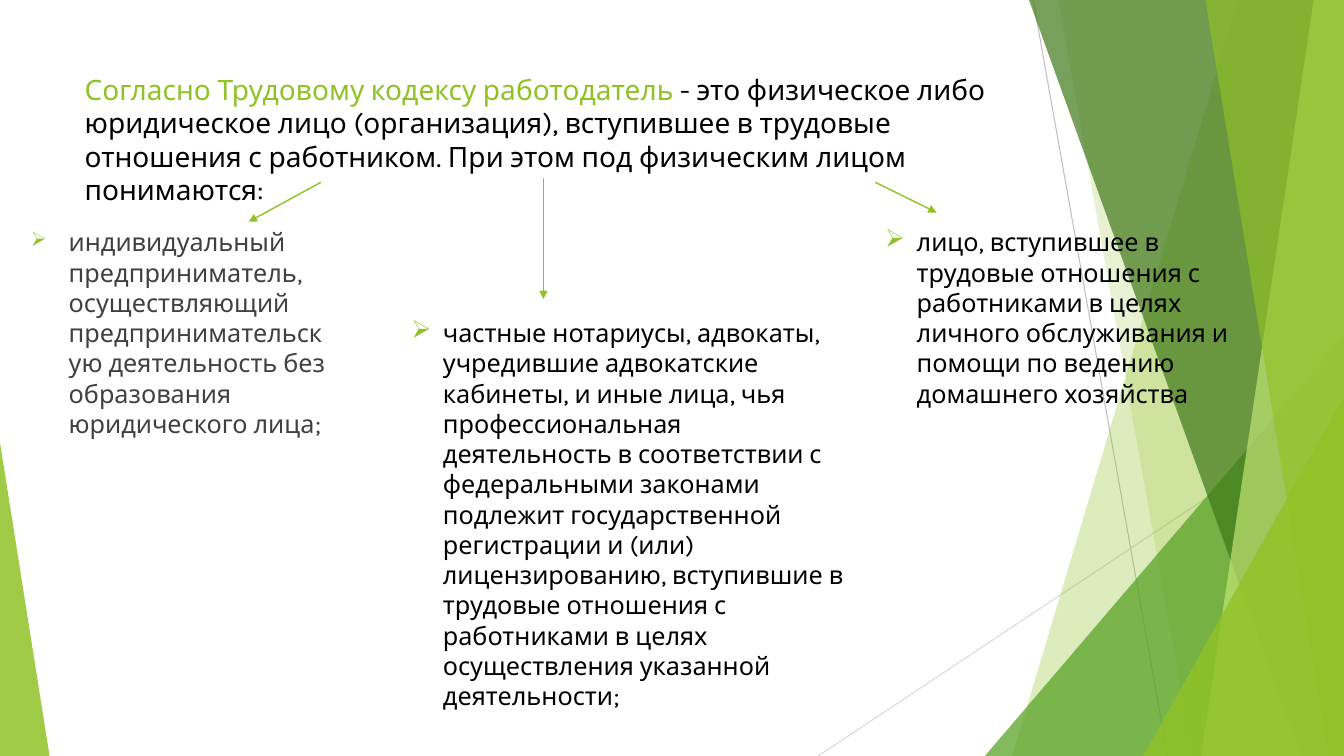
from dataclasses import dataclass

from lxml import etree
from pptx import Presentation
from pptx.dml.color import RGBColor
from pptx.enum.shapes import MSO_CONNECTOR, MSO_SHAPE
from pptx.enum.text import MSO_ANCHOR, MSO_AUTO_SIZE, PP_ALIGN
from pptx.oxml.ns import qn
from pptx.util import Inches, Pt

STRAIGHT = MSO_CONNECTOR.STRAIGHT
TRIANGLE = MSO_SHAPE.ISOSCELES_TRIANGLE
TOP = MSO_ANCHOR.TOP
LEFT = PP_ALIGN.LEFT
NO_FIT = MSO_AUTO_SIZE.NONE

COLUMNS, ROWS = 160, 90
WIDTH, HEIGHT = Inches(13.333), Inches(7.5)
GREEN, BLACK, GREY = "90C226", "000000", "404040"
FONT = "Karla"
FRAME_FORMAT = {"word_wrap": True, "auto_size": NO_FIT, "vertical_anchor": TOP}


@dataclass
class Band:
    top_col: float
    bottom_col: float
    color: str
    opacity: int


@dataclass
class Wedge:
    col: float
    row: float
    cols: float
    apex: float
    color: str
    opacity: int


@dataclass
class Stroke:
    start: tuple[float, float]
    end: tuple[float, float]
    color: str
    weight: float
    arrow: bool = False


@dataclass
class Passage:
    col: float
    row: float
    cols: float
    rows: float
    runs: list[tuple[str, str]]
    size: int = 18
    indent: float = 0
    bullet_percent: int = 100


BACKDROP_LINES = [
    Stroke((123, 0), (139, 90), "BFBFBF", 0.75),
    Stroke((160, 48.4), (97.4, 90), "D9D9D9", 0.75),
]
FACETS = [
    Band(147.4, 120.5, GREEN, 30),
    Band(126, 142, GREEN, 20),
    Wedge(117.24, 40, 42.76, 1, "54A021", 72),
    Band(122.5, 154.9, "3F7819", 70),
    Band(156.4, 143, "C0E474", 70),
    Band(143.5, 158.2, GREEN, 65),
    Wedge(136.1, 47.2, 23.9, 1, GREEN, 80),
    Wedge(0, 52.7, 5.9, 0, GREEN, 85),
]
PASSAGES = [
    Passage(8.9, 8, 112.8, 17.3, [
        ("Согласно Трудовому кодексу работодатель ", GREEN),
        ("- это физическое либо юридическое лицо (организация), вступившее в "
         "трудовые отношения с работником. При этом под физическим лицом "
         "понимаются:", BLACK)], size=20),
    Passage(2.5, 26.4, 38.3, 27.7, [
        ("индивидуальный предприниматель, осуществляющий предпринимательскую "
         "деятельность без образования юридического лица;", GREY)],
        indent=4.5, bullet_percent=80),
    Passage(47.8, 37.2, 54, 44.9, [
        ("частные нотариусы, адвокаты, учредившие адвокатские кабинеты, и иные "
         "лица, чья профессиональная деятельность в соответствии с федеральными "
         "законами подлежит государственной регистрации и (или) лицензированию, "
         "вступившие в трудовые отношения с работниками в целях осуществления "
         "указанной деятельности;", BLACK)], indent=3.75),
    Passage(104.2, 26.4, 44.8, 23, [
        ("лицо, вступившее в трудовые отношения с работниками в целях личного "
         "обслуживания и помощи по ведению домашнего хозяйства", BLACK)],
        indent=3.75),
]
ARROWS = [
    Stroke((38.2, 21.7), (29.6, 26.4), GREEN, 1, True),
    Stroke((64.7, 21.2), (64.7, 35.6), GREEN, 1, True),
    Stroke((104.2, 21.7), (111.5, 25.3), GREEN, 1, True),
]


def x(cols: float) -> int:
    return round(WIDTH * cols / COLUMNS)


def y(rows: float) -> int:
    return round(HEIGHT * rows / ROWS)


def rgb(color: str) -> RGBColor:
    return RGBColor.from_string(color)


def add_node(parent, tag: str, **attributes: str):
    return etree.SubElement(parent, qn(tag), attributes)


def draw_stroke(slide, stroke: Stroke) -> None:
    (from_col, from_row), (to_col, to_row) = stroke.start, stroke.end
    connector = slide.shapes.add_connector(
        STRAIGHT, x(from_col), y(from_row), x(to_col), y(to_row))
    connector.line.color.rgb = rgb(stroke.color)
    connector.line.width = Pt(stroke.weight)
    if stroke.arrow:
        add_node(connector.line._get_or_add_ln(), "a:tailEnd", type="triangle")
    add_node(connector._element.spPr, "a:effectLst")


def draw_facet(slide, facet: Band | Wedge) -> None:
    if isinstance(facet, Band):
        builder = slide.shapes.build_freeform(x(facet.top_col), 0)
        builder.add_line_segments(
            [(WIDTH, 0), (WIDTH, HEIGHT), (x(facet.bottom_col), HEIGHT)])
        shape = builder.convert_to_shape()
    else:
        shape = slide.shapes.add_shape(
            TRIANGLE, x(facet.col), y(facet.row),
            x(facet.cols), y(ROWS - facet.row))
        shape.adjustments[0] = facet.apex
    shape.shadow.inherit = False
    shape.line.fill.background()
    shape.fill.solid()
    shape.fill.fore_color.rgb = rgb(facet.color)
    tint = shape._element.spPr.find(qn("a:solidFill"))[0]
    add_node(tint, "a:alpha", val=str(facet.opacity * 1000))


def add_bullet(paragraph, indent: int, percent: int) -> None:
    properties = paragraph._p.get_or_add_pPr()
    for key, value in {"marL": indent, "indent": -indent}.items():
        properties.set(key, str(value))
    add_node(add_node(properties, "a:buClr"), "a:srgbClr", val=GREEN)
    add_node(properties, "a:buSzPct", val=str(percent * 1000))
    add_node(properties, "a:buChar", char="➢")


def write_passage(slide, passage: Passage) -> None:
    frame = slide.shapes.add_textbox(
        x(passage.col), y(passage.row),
        x(passage.cols), y(passage.rows)).text_frame
    for key, value in FRAME_FORMAT.items():
        setattr(frame, key, value)
    paragraph = frame.paragraphs[0]
    paragraph.alignment = LEFT
    if passage.indent:
        add_bullet(paragraph, x(passage.indent), passage.bullet_percent)
    for wording, color in passage.runs:
        run = paragraph.add_run()
        run.text = wording
        for key, value in {"name": FONT, "size": Pt(passage.size)}.items():
            setattr(run.font, key, value)
        run.font.color.rgb = rgb(color)


def main() -> None:
    deck = Presentation()
    deck.slide_width, deck.slide_height = WIDTH, HEIGHT
    slide = deck.slides.add_slide(deck.slide_layouts[6])
    for line in BACKDROP_LINES:
        draw_stroke(slide, line)
    for facet in FACETS:
        draw_facet(slide, facet)
    for passage in PASSAGES:
        write_passage(slide, passage)
    for arrow in ARROWS:
        draw_stroke(slide, arrow)
    deck.save("out.pptx")


if __name__ == "__main__":
    main()
